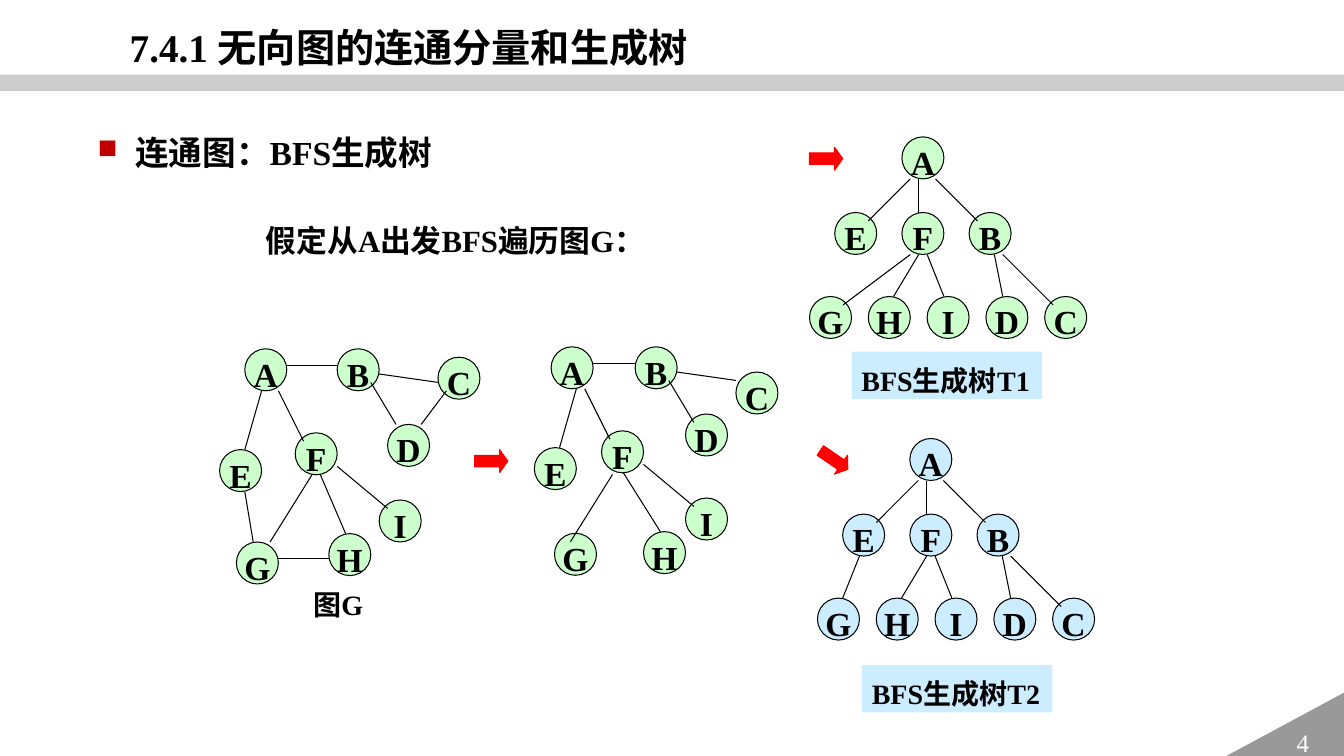
"""Builds a slide on connected graphs and their BFS spanning trees."""
import pptx
import pptx.util
import pptx.dml.color
import pptx.enum.shapes
import pptx.enum.text
import pptx.oxml
import pptx.oxml.ns

Cm, Pt = pptx.util.Cm, pptx.util.Pt
SHAPE = pptx.enum.shapes.MSO_SHAPE
ANCHOR = pptx.enum.text.MSO_ANCHOR
CENTER = pptx.enum.text.PP_ALIGN.CENTER

COLORS = {"black": "000000", "white": "FFFFFF", "green": "CCFFCC", "blue": "CCECFF",
          "red": "FF0000", "bullet": "C00000", "bar": "A6A6A6", "corner": "999999"}
FONT = "Times New Roman"
UNIT = 2.54 / 12
NODE_SIZE = 5 * UNIT

TREE_NODES = {"A": (0, 0), "E": (-8, 9), "F": (0, 9), "B": (8, 9)}
TREE_NODES.update({name: (-11 + 7 * index, 19) for index, name in enumerate("GHIDC")})
TREE_EDGES = [(2, 5, 2, 9), (1, 5, -4, 10), (4, 5, 9, 10), (3, 14, 5, 19),
              (2, 14, -1, 19), (11, 14, 12, 19), (12, 14, 18, 20)]

# Node and edge places are grid units from the corner of node A.
GRAPHS = [
    {"origin": (6.17, 8.79), "fill": "green",
     "nodes": {"A": (0, 0), "B": (11, 0), "C": (23, 1), "D": (17, 9), "E": (-3, 12),
               "F": (6, 10), "G": (-1, 23), "H": (10, 22), "I": (16, 18)},
     "edges": [(21, 9, 24, 5), (23, 4, 16, 3), (18, 9, 15, 4), (4, 5, 7, 11),
               (5, 2, 11, 2), (4, 25, 10, 25), (12, 22, 9, 15), (3, 23, 8, 15),
               (2, 5, 0, 12), (0, 17, 1, 23), (11, 14, 17, 19)]},
    {"origin": (13.89, 8.74), "fill": "green",
     "nodes": {"A": (0, 0), "B": (10, 0), "C": (22, 3), "D": (16, 8), "E": (-2, 12),
               "F": (6, 10), "G": (0.4, 22.2), "H": (11, 22), "I": (16, 18)},
     "edges": [(2.3, 23.2, 7.3, 15.2), (5, 2, 10, 2), (4, 5, 7, 11), (3, 5, 1, 12),
               (22, 4, 15, 3), (17, 9, 14, 4), (11, 14, 17, 19), (13, 22, 8.6, 15)]},
    {"origin": (22.73, 3.45), "fill": "green", "nodes": TREE_NODES,
     "edges": TREE_EDGES + [(1, 14, -7, 20)]},
    {"origin": (22.93, 11.05), "fill": "blue", "nodes": TREE_NODES,
     "edges": TREE_EDGES + [(-6, 14, -8, 19)]},
]
ARROWS = [(11.96, 11.33, 0), (20.4, 3.71, 0), (20.6, 11.3, 34.4)]
TEXTS = [
    ("7.4.1 无向图的连通分量和生成树", (3.02, 0.23, 15.77, 1.57), 28, None),
    ("假定从A出发BFS遍历图G：", (6.45, 5.28, 10.19, 1.3), 22, None),
    ("图G", (7.65, 14.5, 1.78, 1.19), 20, None),
    ("BFS生成树T1", (21.46, 8.86, 4.8, 1.19), 20, "blue"),
    ("BFS生成树T2", (21.72, 16.76, 4.8, 1.19), 20, "blue"),
]
HEADING = ("连通图：BFS生成树", (2.21, 3, 9.6, 1.37), 24, None)


def rgb(name):
    return pptx.dml.color.RGBColor.from_string(COLORS[name])


def append_xml(parent, tag, children="", **attributes):
    values = "".join(f' {key}="{value}"' for key, value in attributes.items())
    parent.append(pptx.oxml.parse_xml(
        f'<a:{tag} {pptx.oxml.ns.nsdecls("a")}{values}>{children}</a:{tag}>'))


def add_shape(slide, kind, box, fill, line=None):
    shape = slide.shapes.add_shape(kind, *map(Cm, box))
    shape.shadow.inherit = False
    shape.fill.solid()
    shape.fill.fore_color.rgb = rgb(fill)
    if line:
        shape.line.color.rgb = rgb(line)
        shape.line.width = Pt(0.75)
    else:
        shape.line.fill.background()
    return shape


def write(paragraph, text, size, color="black", bold=True):
    run = paragraph.add_run()
    run.text = text
    run.font.name = FONT
    run.font.size = Pt(size)
    run.font.bold = bold
    run.font.color.rgb = rgb(color)


def add_text(slide, text, box, size, fill):
    shape = slide.shapes.add_textbox(*map(Cm, box))
    if fill:
        shape.fill.solid()
        shape.fill.fore_color.rgb = rgb(fill)
    shape.text_frame.word_wrap = True
    paragraph = shape.text_frame.paragraphs[0]
    paragraph.line_spacing = 1.2
    write(paragraph, text, size)
    return paragraph


def add_node(slide, name, left, top, fill):
    node = add_shape(slide, SHAPE.OVAL, (left, top, NODE_SIZE, NODE_SIZE), fill, "black")
    node.text_frame.word_wrap = False
    node.text_frame.vertical_anchor = ANCHOR.MIDDLE
    paragraph = node.text_frame.paragraphs[0]
    paragraph.alignment = CENTER
    paragraph.line_spacing = 1.2
    write(paragraph, name, 24)


def add_graph(slide, origin, fill, nodes, edges):
    def place(column, row):
        return origin[0] + column * UNIT, origin[1] + row * UNIT

    for name, cell in nodes.items():
        add_node(slide, name, *place(*cell), fill)
    for edge in edges:
        ends = place(*edge[:2]) + place(*edge[2:])
        connector = slide.shapes.add_connector(
            pptx.enum.shapes.MSO_CONNECTOR.STRAIGHT, *map(Cm, ends))
        connector.line.color.rgb = rgb("black")
        connector.line.width = Pt(0.75)
        append_xml(connector.element.spPr, "effectLst")


def add_frame(slide):
    bar = add_shape(slide, SHAPE.RECTANGLE, (0, 1.88, 33.87, 0.41), "bar")
    color = bar.element.spPr.find(".//" + pptx.oxml.ns.qn("a:srgbClr"))
    append_xml(color, "alpha", val=56000)
    corner = add_shape(slide, SHAPE.RIGHT_TRIANGLE, (30.76, 17.45, 3.12, 1.68), "corner")
    corner.element.spPr.find(pptx.oxml.ns.qn("a:xfrm")).set("flipH", "1")
    corner.text_frame.vertical_anchor = ANCHOR.MIDDLE
    paragraph = corner.text_frame.paragraphs[0]
    paragraph.alignment = CENTER
    write(paragraph, "4", 18, "white", False)


def add_heading(slide):
    properties = add_text(slide, *HEADING)._p.get_or_add_pPr()
    properties.set("marL", str(Cm(0.95)))
    properties.set("indent", str(Cm(-0.95)))
    append_xml(properties, "buClr", f'<a:srgbClr val="{COLORS["bullet"]}"/>')
    append_xml(properties, "buSzPct", val=80000)
    append_xml(properties, "buChar", char="■")


def main():
    presentation = pptx.Presentation()
    presentation.slide_width, presentation.slide_height = Cm(33.87), Cm(19.05)
    slide = presentation.slides.add_slide(presentation.slide_layouts[6])
    add_frame(slide)
    for graph in GRAPHS:
        add_graph(slide, **graph)
    for left, top, rotation in ARROWS:
        arrow = add_shape(slide, SHAPE.RIGHT_ARROW, (left, top, 0.84, 0.58), "red", "red")
        arrow.adjustments[0], arrow.adjustments[1] = 0.5, 0.36
        arrow.rotation = rotation
    for item in TEXTS:
        add_text(slide, *item)
    add_heading(slide)
    presentation.save("out.pptx")


if __name__ == "__main__":
    main()
